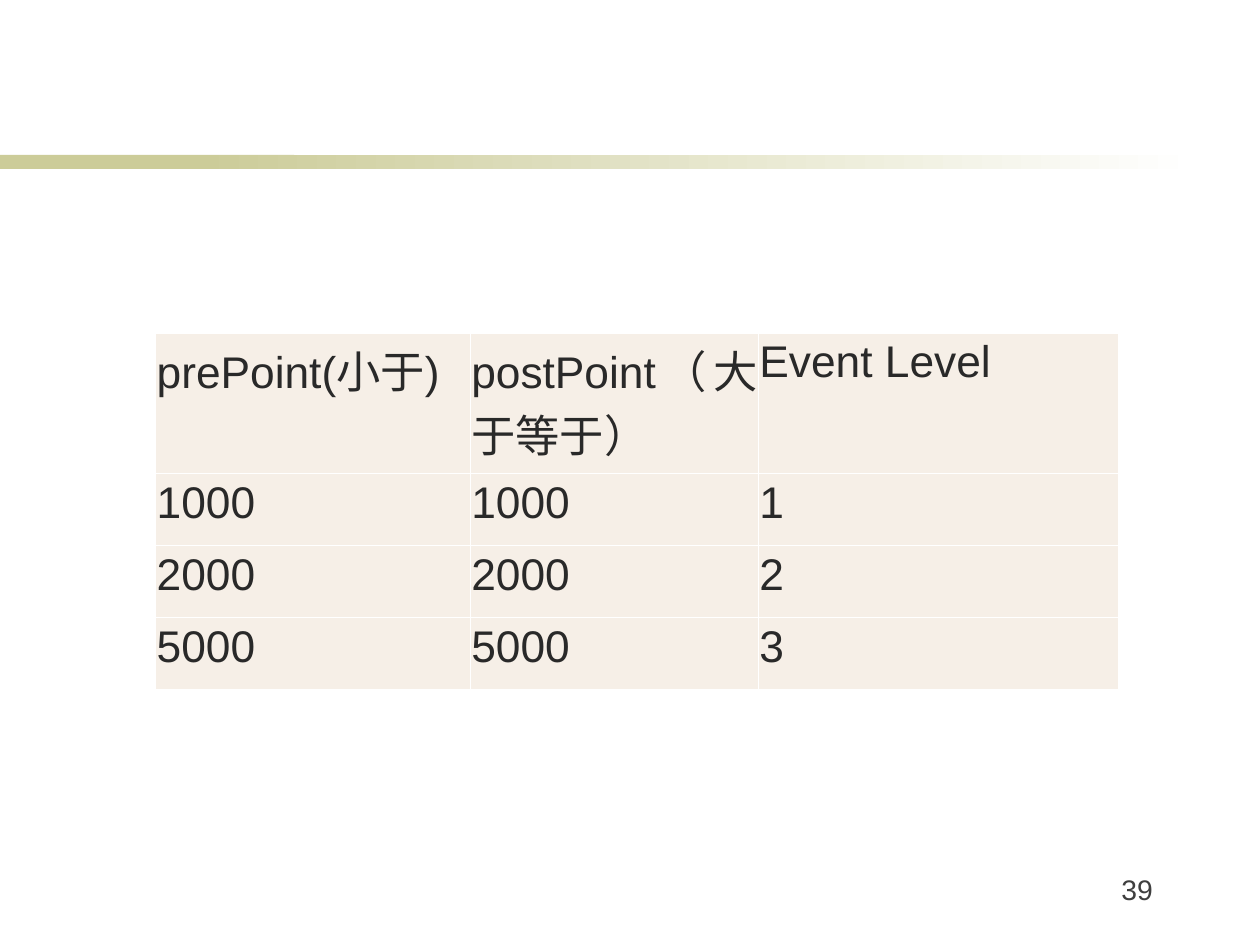
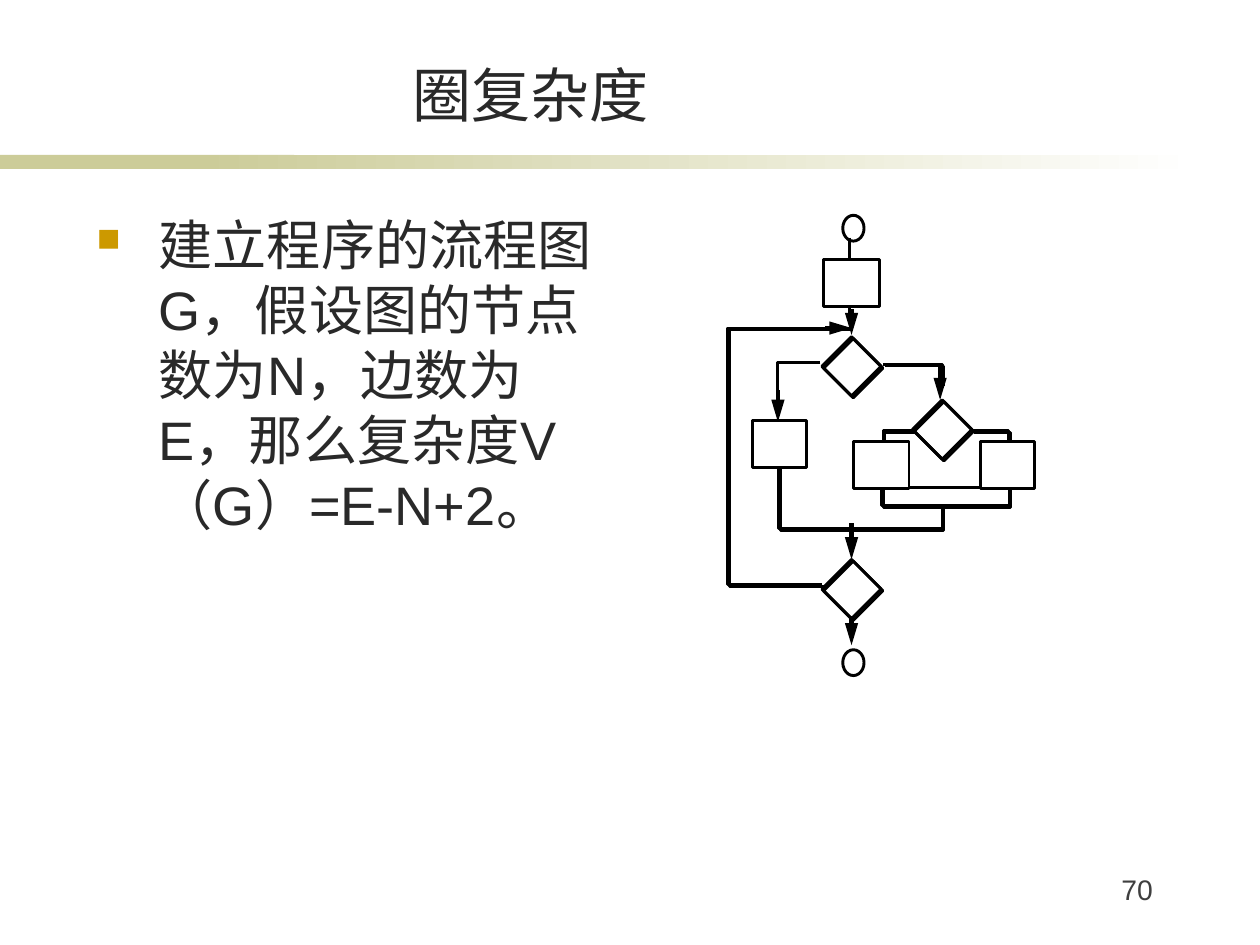
from lxml import etree
from pptx import Presentation
from pptx import util as u
from pptx.dml.color import RGBColor
from pptx.enum import shapes, text
from pptx.oxml.ns import qn

BLACK = RGBColor(0x00, 0x00, 0x00)
WHITE = RGBColor(0xFF, 0xFF, 0xFF)
INK = RGBColor(0x29, 0x29, 0x29)
GREY = RGBColor(0x3F, 0x3F, 0x3F)
OLIVE = RGBColor(0xCC, 0xCC, 0x99)
GOLD = RGBColor(0xCC, 0x99, 0x00)
CREAM = RGBColor(0xF6, 0xEF, 0xE7)

FONT = "Arial"
STROKE = 2.38
ARROW_STROKE = 3.6
DOUBLE = 0.05  # offset in cm of the second stroke of a heavy outline
MAIN_X = 24.41
RIGHT_X = 27.01
KIND = shapes.MSO_SHAPE


def add_xml(parent, tag, **attributes):
    return etree.SubElement(parent, qn(tag), attributes)


def style_text(para, size, color, align):
    para.alignment = align
    for span in para.runs:
        span.font.name = FONT
        span.font.size = u.Pt(size)
        span.font.color.rgb = color


def add_text(page, words, left, top, width, height, size, color=INK,
             align=text.PP_ALIGN.LEFT, anchor=text.MSO_ANCHOR.TOP):
    box = page.shapes.add_textbox(u.Cm(left), u.Cm(top), u.Cm(width), u.Cm(height))
    frame = box.text_frame
    frame.word_wrap = True
    frame.vertical_anchor = anchor
    frame.margin_left = frame.margin_right = u.Cm(0.36)
    frame.margin_top = frame.margin_bottom = u.Cm(0.18)
    frame.text = words
    style_text(frame.paragraphs[0], size, color, align)
    return frame


def add_bullet_text(page, words):
    frame = add_text(page, words, 1.85, 5.87, 15.8, 17.35, 44)
    props = frame.paragraphs[0]._p.get_or_add_pPr()
    props.set("marL", str(u.Cm(2.34)))
    props.set("indent", str(u.Cm(-1.78)))
    add_xml(add_xml(props, "a:buClr"), "a:srgbClr", val=str(GOLD))
    add_xml(props, "a:buSzPct", val="60000")
    add_xml(props, "a:buChar", char="■")


def add_shape(page, kind, left, top, width, height):
    shape = page.shapes.add_shape(
        kind, u.Cm(left), u.Cm(top), u.Cm(width), u.Cm(height))
    shape.shadow.inherit = False
    return shape


def add_page(deck, number):
    """Blank page with the fading band and the page number."""
    page = deck.slides.add_slide(deck.slide_layouts[6])
    solid = add_shape(page, KIND.RECTANGLE, 0, 4.44, 8.43, 0.4)
    solid.fill.solid()
    solid.fill.fore_color.rgb = OLIVE
    fading = add_shape(page, KIND.RECTANGLE, 5.72, 4.44, 28.6, 0.4)
    fading.fill.gradient()
    fading.fill.gradient_angle = 0
    for stop, color in zip(fading.fill.gradient_stops, (OLIVE, WHITE)):
        stop.color.rgb = color
    for band in (solid, fading):
        band.line.fill.background()
    add_text(page, str(number), 29.73, 24.82, 3.68, 1.8, 23, GREY,
             text.PP_ALIGN.RIGHT)
    return page


def add_title(page, words):
    add_text(page, words, 4.11, 1.6, 22.2, 2.29, 48,
             align=text.PP_ALIGN.CENTER, anchor=text.MSO_ANCHOR.BOTTOM)


def style_cell(cell, words):
    cell.margin_left = cell.margin_right = u.Cm(0.03)
    cell.margin_top = cell.margin_bottom = u.Cm(0.13)
    cell.text = words
    style_text(cell.text_frame.paragraphs[0], 36, INK, text.PP_ALIGN.JUSTIFY)
    props = cell._tc.get_or_add_tcPr()
    for side in ("a:lnL", "a:lnR", "a:lnT", "a:lnB"):
        border = add_xml(props, side, w=str(u.Pt(0.45)))
        add_xml(add_xml(border, "a:solidFill"), "a:srgbClr", val=str(WHITE))
    cell.fill.solid()
    cell.fill.fore_color.rgb = CREAM


def add_table(page, rows, left, top, widths, heights):
    table = page.shapes.add_table(
        len(rows), len(widths), u.Cm(left), u.Cm(top),
        u.Cm(sum(widths)), u.Cm(sum(heights))).table
    table.first_row = table.horz_banding = False
    for column, width in zip(table.columns, widths):
        column.width = u.Cm(width)
    for row, height, words in zip(table.rows, heights, rows):
        row.height = u.Cm(height)
        for cell, entry in zip(row.cells, words):
            style_cell(cell, entry)


def set_stroke(shape, points=STROKE):
    shape.line.color.rgb = BLACK
    shape.line.width = u.Pt(points)


def add_node(page, kind, left, top, width, height):
    node = add_shape(page, kind, left, top, width, height)
    node.fill.solid()
    node.fill.fore_color.rgb = WHITE
    set_stroke(node)
    return node


def add_decision(page, center, top):
    """Diamond with a heavier edge at the upper left and lower right."""
    size = 1.7
    for shift in (DOUBLE, 0):
        diamond = add_node(page, KIND.DIAMOND, center - size / 2 + shift,
                           top + shift, size, size)
    diamond.fill.background()


def add_line(page, start, end, points=STROKE):
    line = page.shapes.add_connector(
        shapes.MSO_CONNECTOR.STRAIGHT, *(u.Cm(value) for value in start + end))
    set_stroke(line, points)
    add_xml(line._element.spPr, "a:effectLst")
    return line


def add_arrow(page, start, end):
    arrow = add_line(page, start, end, ARROW_STROKE)
    outline = arrow._element.spPr.find(qn("a:ln"))
    add_xml(outline, "a:tailEnd", type="triangle", w="med", len="lg")


def add_route(page, points, shifts=(DOUBLE, 0)):
    """Bent line through the points, drawn once for each shift."""
    for shift in shifts:
        start, *rest = [(u.Cm(x + shift), u.Cm(y + shift)) for x, y in points]
        builder = page.shapes.build_freeform(*start)
        builder.add_line_segments(rest, close=False)
        route = builder.convert_to_shape()
        route.shadow.inherit = False
        route.fill.background()
        set_stroke(route)


def add_flowchart(page):
    add_line(page, (24.36, 6.81), (24.36, 9.0))
    add_line(page, (25.27, 13.97), (28.93, 13.97))

    first_no = [(25.32, 10.44), (RIGHT_X, 10.44), (RIGHT_X, 11.02)]
    first_yes = [(23.52, 10.39), (22.28, 10.39), (22.28, 11.7)]
    second_no = [(27.86, 12.34), (28.91, 12.34), (28.91, 13.18)]
    second_yes = [(26.31, 12.34), (25.32, 12.34), (25.32, 13.44)]
    join = [(25.27, 13.97), (25.27, 14.5), (28.93, 14.5), (28.93, 13.97)]
    merge = [(RIGHT_X, 14.5), (RIGHT_X, 15.14), (22.33, 15.14), (22.33, 13.34)]
    loop = [(23.57, 16.76), (20.85, 16.76), (20.85, 9.4), (MAIN_X, 9.4)]
    for points in (first_no, second_no, second_yes, join, merge, loop):
        add_route(page, points)
    add_route(page, first_yes, shifts=(0,))

    for left, top, width in ((23.62, 7.44, 1.6), (24.46, 12.65, 1.6),
                             (28.12, 12.65, 1.55), (21.56, 12.04, 1.55)):
        add_node(page, KIND.RECTANGLE, left, top, width, 1.35)
    for center, top in ((MAIN_X, 9.65), (RIGHT_X, 11.46), (MAIN_X, 16.03)):
        add_decision(page, center, top)
    for top in (6.17, 18.62):
        add_node(page, KIND.OVAL, 24.16, top, 0.61, 0.74).fill.background()

    for x, start, end in ((MAIN_X, 8.86, 9.6), (MAIN_X, 14.99, 16.03),
                          (MAIN_X, 17.65, 18.49), (26.95, 10.44, 11.46),
                          (22.3, 11.18, 12.09)):
        add_arrow(page, (x, start), (x, end))
    add_arrow(page, (23.65, 9.4), (MAIN_X, 9.4))


def main():
    deck = Presentation()
    deck.slide_width = u.Cm(36.12)
    deck.slide_height = u.Cm(27.08)

    levels = add_page(deck, 39)
    add_table(levels, [
        ("prePoint(小于)", "postPoint（大于等于）", "Event Level"),
        ("1000", "1000", "1"),
        ("2000", "2000", "2"),
        ("5000", "5000", "3"),
    ], 4.46, 9.54, (9.02, 8.26, 10.31), (4.03, 2.06, 2.06, 2.06))

    complexity = add_page(deck, 70)
    add_title(complexity, "圈复杂度")
    add_bullet_text(complexity, "建立程序的流程图G，假设图的节点数为N，边数为E，"
                                "那么复杂度V（G）=E-N+2。")
    add_flowchart(complexity)

    deck.save("out.pptx")


if __name__ == "__main__":
    main()
